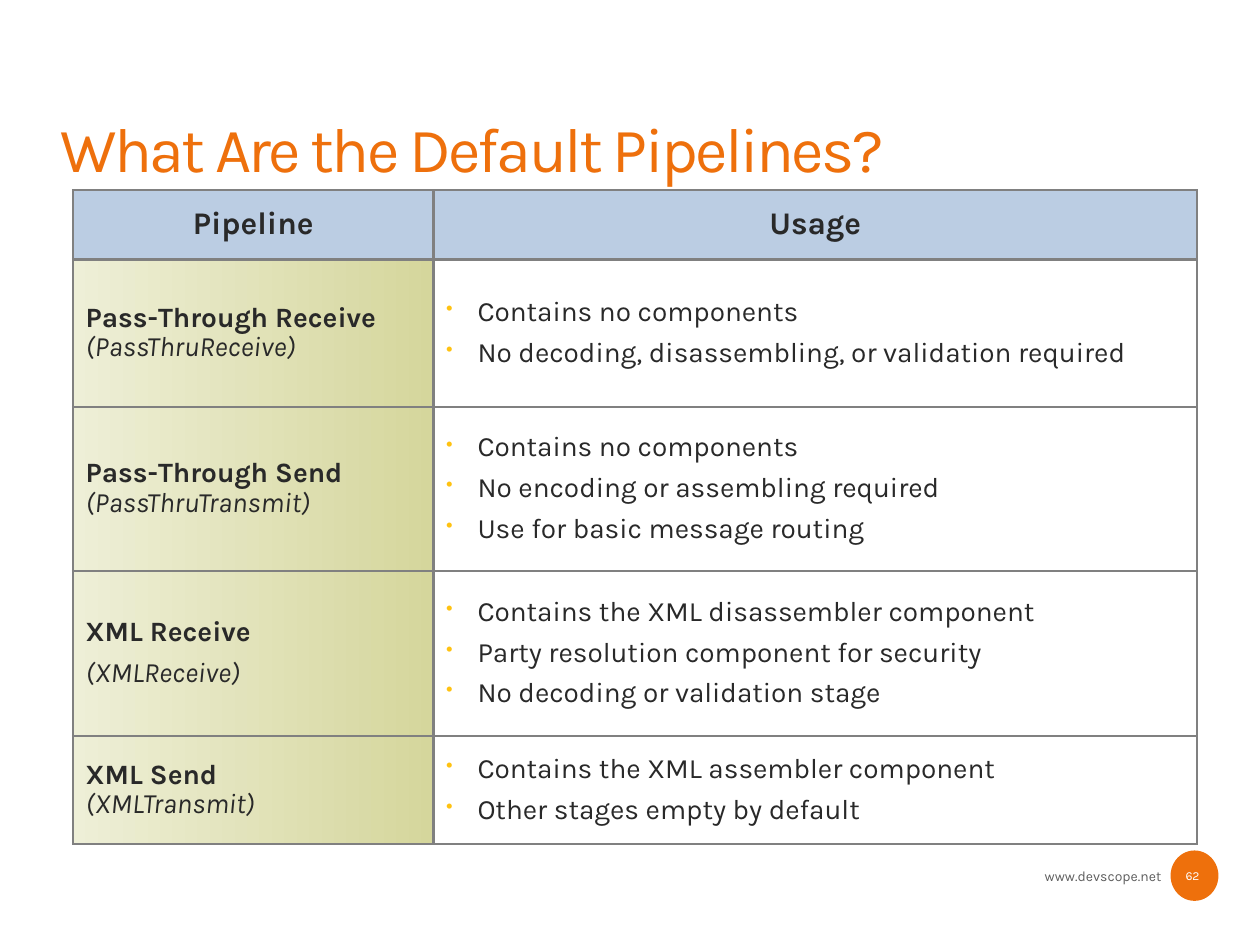
from lxml import etree
from pptx import Presentation
from pptx.dml.color import RGBColor
from pptx.enum.shapes import MSO_SHAPE
from pptx.enum.text import MSO_ANCHOR, MSO_AUTO_SIZE, PP_ALIGN
from pptx.oxml.ns import qn
from pptx.util import Inches, Pt

OVAL = MSO_SHAPE.OVAL
MIDDLE, BOTTOM = MSO_ANCHOR.MIDDLE, MSO_ANCHOR.BOTTOM
LEFT, CENTER = PP_ALIGN.LEFT, PP_ALIGN.CENTER
FIXED = MSO_AUTO_SIZE.NONE
FONT = "Karla"
HEX = {"accent": "EE700C", "text": "292929", "foot": "5E5E5E", "white": "FFFFFF",
       "head": "BBCDE3", "pale": "EEEFD7", "olive": "D5D69C",
       "bullet": "FFC211", "grid": "808080"}
RGB = {name: RGBColor.from_string(code) for name, code in HEX.items()}


def write(par, text, size=16, color="text", bold=False, italic=False, align=LEFT,
          line=0.9, before=0):
    par.alignment, par.line_spacing, par.space_before = align, line, Pt(before)
    run = par.add_run()
    run.text = text
    font = run.font
    font.name, font.size, font.bold, font.italic = FONT, Pt(size), bold, italic
    font.color.rgb = RGB[color]
    return run


def add(parent, tag, **attrs):
    return etree.SubElement(parent, qn(tag), attrs)


prs = Presentation()
prs.slide_width, prs.slide_height = Inches(10), Inches(7.5)
slide = prs.slides.add_slide(prs.slide_layouts[5])

# Title
title = slide.shapes.title
title.left, title.top = Inches(0.48), Inches(0.21)
title.width, title.height = Inches(9.15), Inches(1.27)
frame = title.text_frame
frame.auto_size, frame.word_wrap, frame.vertical_anchor = FIXED, True, BOTTOM
frame.margin_left = frame.margin_right = frame.margin_top = frame.margin_bottom = 0
run = write(frame.paragraphs[0], "What Are the Default Pipelines?", size=36, color="accent")
run.font._element.set("spc", "-150")

# Footer: page disc, web address and page number
disc = slide.shapes.add_shape(OVAL, Inches(9.29), Inches(6.75), Inches(0.38), Inches(0.4))
disc.shadow.inherit = False
disc.fill.solid()
disc.fill.fore_color.rgb = RGB["accent"]
disc.line.fill.background()
for text, left, top, width, height, size, color in [
        ("www.devscope.net", 7.17, 6.84, 3.17, 0.22, 8, "foot"),
        ("62", 8.25, 6.82, 2.43, 0.26, 7, "white")]:
    box = slide.shapes.add_textbox(Inches(left), Inches(top), Inches(width), Inches(height))
    frame = box.text_frame
    frame.word_wrap, frame.vertical_anchor = True, MIDDLE
    write(frame.paragraphs[0], text, size=size, color=color, align=CENTER, line=1)

# Pipeline table: name, code name, whether they share a paragraph, usage
pipes = [
    ("Pass-Through Receive", "(PassThruReceive)", True,
     ["Contains no components", "No decoding, disassembling, or validation required"]),
    ("Pass-Through Send", "(PassThruTransmit)", True,
     ["Contains no components", "No encoding or assembling required",
      "Use for basic message routing"]),
    ("XML Receive", "(XMLReceive)", False,
     ["Contains the XML disassembler component", "Party resolution component for security",
      "No decoding or validation stage"]),
    ("XML Send", "(XMLTransmit)", True,
     ["Contains the XML assembler component", "Other stages empty by default"]),
]
cols, rows = [2.86, 6.06], [0.55, 1.17, 1.3, 1.31, 0.86]
GAP = 6.4
table = slide.shapes.add_table(len(rows), len(cols), Inches(0.58), Inches(1.51),
                               Inches(sum(cols)), Inches(sum(rows))).table
for col, width in zip(table.columns, cols):
    col.width = Inches(width)
for row, height in zip(table.rows, rows):
    row.height = Inches(height)

# Cell borders come before the fill in the cell properties
for cell in table.iter_cells():
    cell.vertical_anchor = MIDDLE
    props = cell._tc.get_or_add_tcPr()
    for side in ("a:lnL", "a:lnR", "a:lnT", "a:lnB"):
        edge = add(props, side, w=str(Pt(1.5)))
        add(add(edge, "a:solidFill"), "a:srgbClr", val=HEX["grid"])

# Heading row
for i, text in enumerate(["Pipeline", "Usage"]):
    cell = table.cell(0, i)
    cell.fill.solid()
    cell.fill.fore_color.rgb = RGB["head"]
    write(cell.text_frame.paragraphs[0], text, size=18, bold=True, align=CENTER)

for i, (name, code, joined, uses) in enumerate(pipes, 1):
    # Name cell
    cell = table.cell(i, 0)
    cell.fill.gradient()
    cell.fill.gradient_angle = 0
    for stop, shade in zip(cell.fill.gradient_stops, ["pale", "olive"]):
        stop.color.rgb = RGB[shade]
    par = cell.text_frame.paragraphs[0]
    write(par, name, bold=True)
    if joined:
        add(add(par._p, "a:br"), "a:rPr", sz="1600")
        write(par, code, italic=True)
    else:
        write(cell.text_frame.add_paragraph(), code, italic=True, before=GAP)

    # Usage cell
    cell = table.cell(i, 1)
    cell.fill.solid()
    cell.fill.fore_color.rgb = RGB["white"]
    frame = cell.text_frame
    for j, text in enumerate(uses):
        par = frame.add_paragraph() if j else frame.paragraphs[0]
        write(par, text, before=GAP if j else 0)
        props = par._p.get_or_add_pPr()
        props.set("marL", str(Inches(0.25)))
        props.set("indent", str(-Inches(0.25)))
        add(add(props, "a:buClr"), "a:srgbClr", val=HEX["bullet"])
        add(props, "a:buSzPct", val="70000")
        add(props, "a:buChar", char="•")

prs.save("out.pptx")
